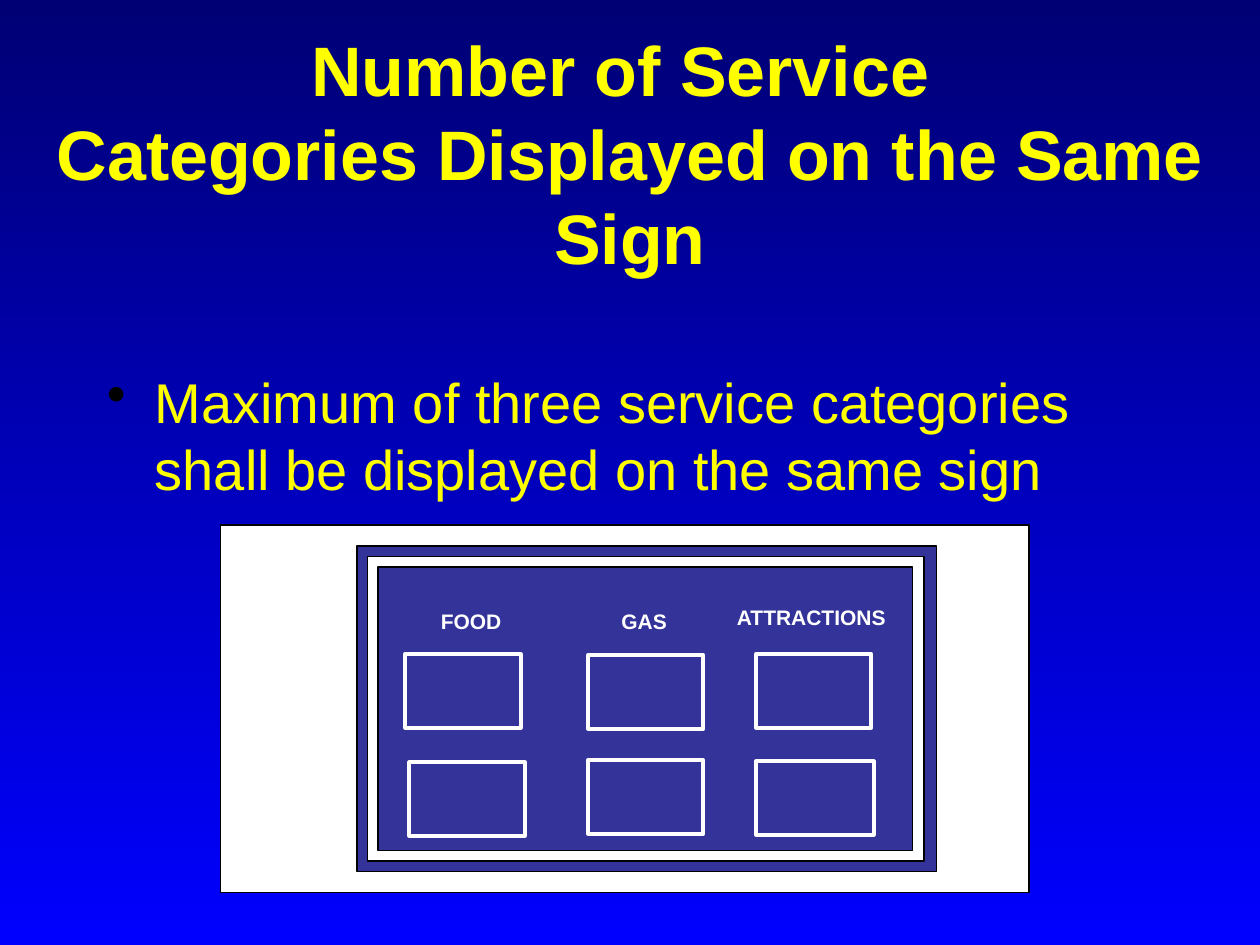
from typing import NamedTuple

import pptx
import pptx.dml.color
import pptx.enum.shapes
import pptx.enum.text
import pptx.oxml
import pptx.oxml.ns
import pptx.util

WIDTH, HEIGHT = 10, 7.5
COLUMNS = 120
UNIT = WIDTH / COLUMNS  # square grid: 120 columns by 90 rows

YELLOW, WHITE, BLACK, SIGN_BLUE = "FFFF00", "FFFFFF", "000000", "333399"
ALIGN = pptx.enum.text.PP_ALIGN
ANCHOR = pptx.enum.text.MSO_ANCHOR


class Area(NamedTuple):
    """Left column, top row, columns wide and rows high."""
    col: float
    row: float
    cols: float
    rows: float


class Panel(NamedTuple):
    area: Area
    fill: str


class Category(NamedTuple):
    name: str
    label: Area
    logo_spaces: tuple[Area, ...]


PANELS = [
    Panel(Area(21, 50, 77, 35), WHITE),
    Panel(Area(34, 52, 55.2, 31), SIGN_BLUE),
    Panel(Area(35, 53, 53, 29), WHITE),
    Panel(Area(36, 54, 50.9, 27), SIGN_BLUE),
]

CATEGORIES = [
    Category("FOOD", Area(40.8, 57.4, 8.2, 3.6),
             (Area(38.6, 62.3, 11, 7), Area(39, 72.6, 11, 7))),
    Category("GAS", Area(58, 57.4, 6.7, 3.6),
             (Area(56, 62.4, 11, 7), Area(56, 72.4, 11, 7))),
    Category("ATTRACTIONS", Area(69, 57, 16.7, 3.6),
             (Area(72, 62.3, 11, 7), Area(72, 72.5, 11.2, 7))),
]


def rgb(color: str) -> pptx.dml.color.RGBColor:
    return pptx.dml.color.RGBColor.from_string(color)


def place(area: Area) -> list[int]:
    return [pptx.util.Inches(n * UNIT) for n in area]


def add_bullet(p, indent: float) -> None:
    """Give the paragraph a black bullet with a hanging indent in inches."""
    pPr = p._p.get_or_add_pPr()
    pPr.set("marL", str(pptx.util.Inches(indent)))
    pPr.set("indent", str(-pptx.util.Inches(indent)))
    ns = pptx.oxml.ns.nsdecls("a")
    pPr.append(pptx.oxml.parse_xml(
        f'<a:buClr {ns}><a:srgbClr val="{BLACK}"/></a:buClr>'))
    pPr.append(pptx.oxml.parse_xml(f'<a:buChar {ns} char="•"/>'))


def add_text(s, area: Area, text: str, *, size: float, color: str = YELLOW,
             bold: bool = False, align=ALIGN.LEFT, anchor=ANCHOR.TOP,
             wrap: bool = True, bullet_indent: float = 0) -> None:
    tf = s.shapes.add_textbox(*place(area)).text_frame
    tf.word_wrap = wrap
    tf.vertical_anchor = anchor
    p = tf.paragraphs[0]
    p.alignment = align
    if bullet_indent:
        add_bullet(p, bullet_indent)
    for i, line in enumerate(text.split("\n")):
        if i:
            p.add_line_break()
        r = p.add_run()
        r.text = line
        r.font.name = "Arial"
        r.font.size = pptx.util.Pt(size)
        r.font.bold = bold
        r.font.color.rgb = rgb(color)


def add_rectangle(s, area: Area, *, line: str, weight: float,
                  fill: str | None = None) -> None:
    sp = s.shapes.add_shape(
        pptx.enum.shapes.MSO_SHAPE.RECTANGLE, *place(area))
    sp.shadow.inherit = False
    if fill:
        sp.fill.solid()
        sp.fill.fore_color.rgb = rgb(fill)
    else:
        sp.fill.background()
    sp.line.color.rgb = rgb(line)
    sp.line.width = pptx.util.Pt(weight)


def set_background(s, top: str, bottom: str) -> None:
    fill = s.background.fill
    fill.gradient()
    fill.gradient_angle = 270
    for stop, color, position in zip(fill.gradient_stops, (top, bottom), (0, 1)):
        stop.color.rgb = rgb(color)
        stop.position = position


def main() -> None:
    prs = pptx.Presentation()
    prs.slide_width = pptx.util.Inches(WIDTH)
    prs.slide_height = pptx.util.Inches(HEIGHT)
    s = prs.slides.add_slide(prs.slide_layouts[6])
    set_background(s, "000075", "0000FF")

    add_text(s, Area(0, 7, COLUMNS, 15),
             "Number of Service \nCategories Displayed on the Same Sign",
             size=40, bold=True, align=ALIGN.CENTER, anchor=ANCHOR.MIDDLE)
    add_text(s, Area(9, 34.4, 102, 15),
             "Maximum of three service categories shall be displayed "
             "on the same sign", size=32, bullet_indent=0.38)

    for panel in PANELS:
        add_rectangle(s, panel.area, fill=panel.fill, line=BLACK, weight=0.75)
    for category in CATEGORIES:
        add_text(s, category.label, category.name, size=12, color=WHITE,
                 bold=True, wrap=False)
        for space in category.logo_spaces:
            add_rectangle(s, space, line=WHITE, weight=2.25)

    prs.save("out.pptx")


if __name__ == "__main__":
    main()
